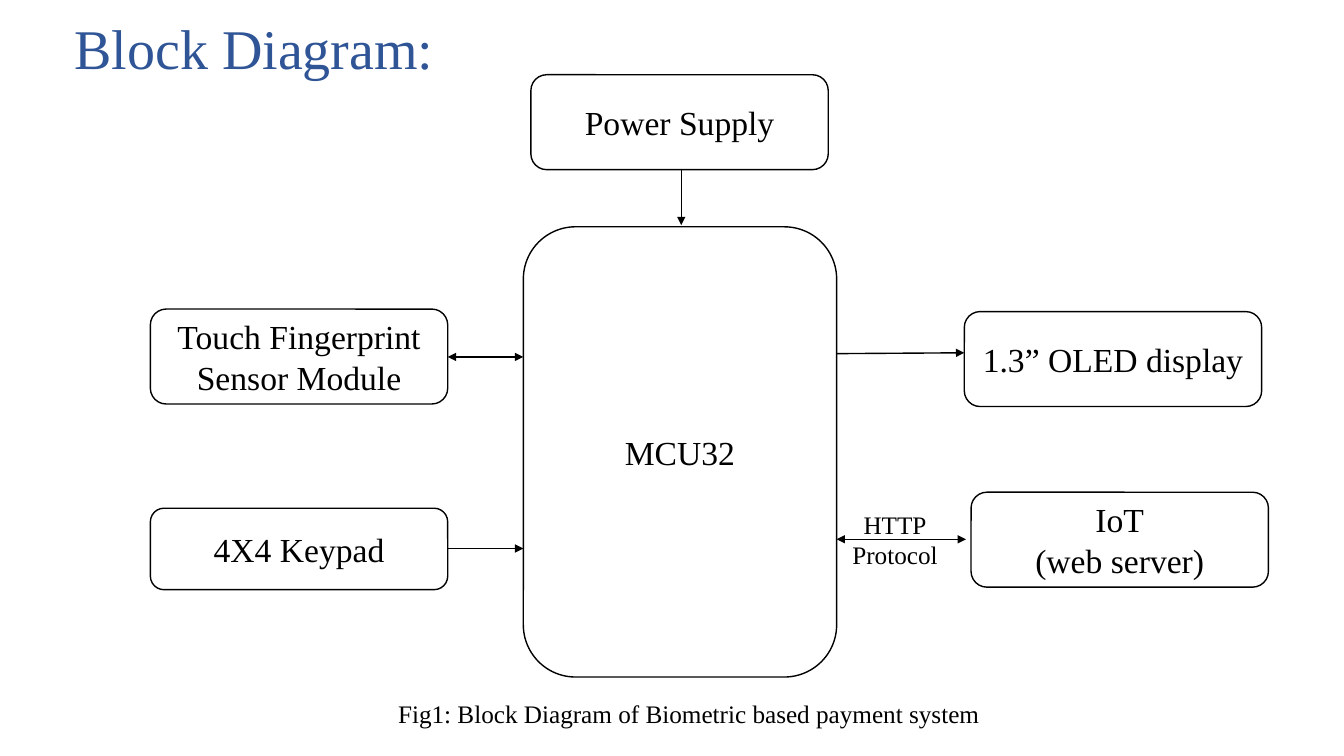
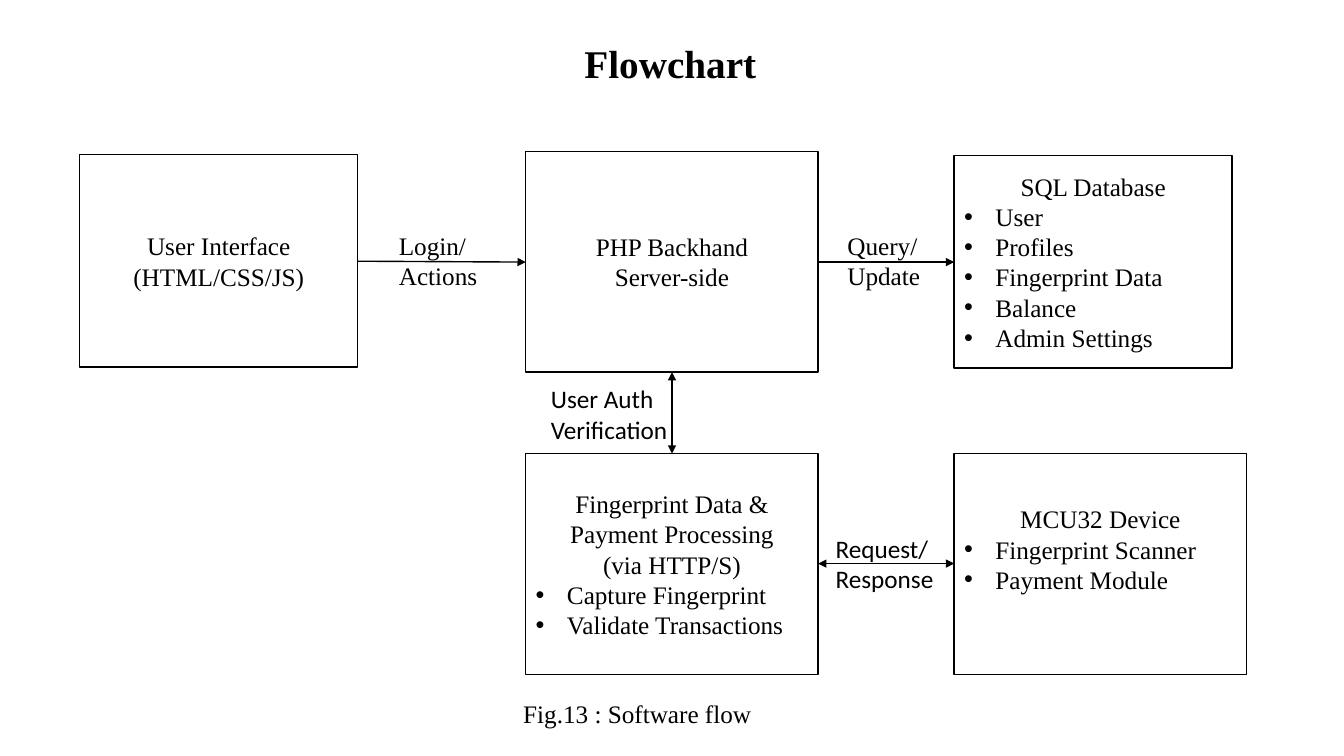
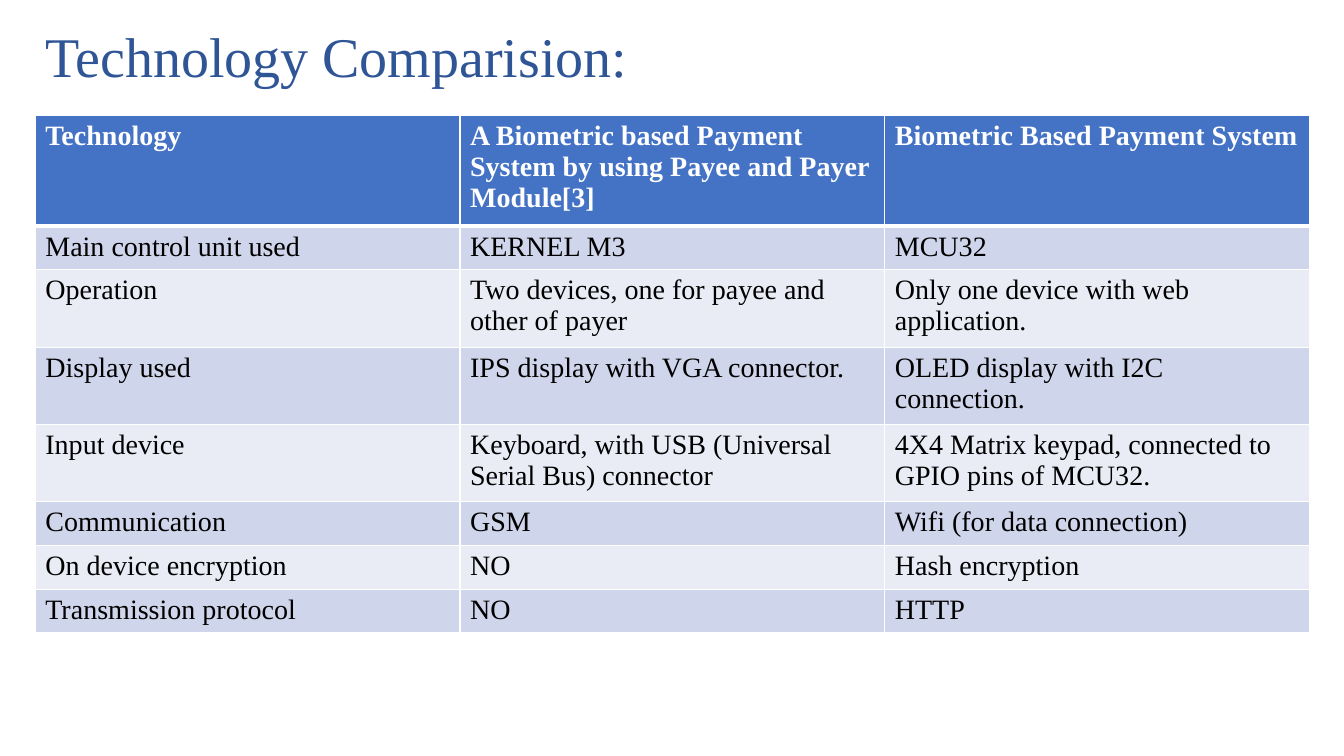
from dataclasses import dataclass
from typing import NamedTuple

from lxml.etree import SubElement
from pptx import Presentation
from pptx.dml.color import RGBColor
from pptx.enum.shapes import MSO_CONNECTOR as Connector, MSO_SHAPE as Preset
from pptx.enum.text import MSO_ANCHOR as Anchor, MSO_AUTO_SIZE as AutoSize, PP_ALIGN as Align
from pptx.oxml.ns import qn
from pptx.util import Inches, Pt

COLUMNS, ROWS = 160, 90
WIDTH, HEIGHT = Inches(13.33), Inches(7.5)
SERIF, SANS = "Times New Roman", "Calibri"
BLACK, WHITE, TITLE_BLUE = "000000", "FFFFFF", "2F5597"
HEADER_BLUE, BANDS = "4472C4", ("CFD5EA", "E9EBF5")
BULLET_INDENT = Inches(0.31)
LINE_GAP = Inches(0.3)


def color(code: str) -> RGBColor:
    return RGBColor.from_string(code)


def across(columns: float) -> int:
    return round(WIDTH * columns / COLUMNS)


def down(rows: float) -> int:
    return round(HEIGHT * rows / ROWS)


class Style(NamedTuple):
    size: float
    font: str = SERIF
    color: str = BLACK
    bold: bool = False


TITLE = Style(40, color=TITLE_BLUE)
HEADING = Style(28, bold=True)
BLOCK = Style(24)
BODY = Style(18)
SANS_BODY = Style(18, SANS)
TABLE_HEAD = Style(20, color=WHITE, bold=True)
TABLE_BODY = Style(20)


@dataclass(frozen=True)
class Area:
    left: float
    top: float
    width: float
    height: float

    @property
    def right(self) -> float:
        return self.left + self.width

    @property
    def bottom(self) -> float:
        return self.top + self.height

    @property
    def center(self) -> float:
        return self.left + self.width / 2

    def place(self) -> tuple[int, int, int, int]:
        return across(self.left), down(self.top), across(self.width), down(self.height)


@dataclass(frozen=True)
class Block:
    area: Area
    lines: tuple[str, ...]
    bullets: tuple[str, ...] = ()
    style: Style = BODY
    preset: Preset = Preset.RECTANGLE
    spare_lines: int = 0


@dataclass(frozen=True)
class Label:
    area: Area
    lines: tuple[str, ...]
    style: Style = BODY
    wrap: bool = False
    align: Align = Align.LEFT


@dataclass(frozen=True)
class Arrow:
    start: tuple[float, float]
    end: tuple[float, float]
    both_ways: bool = False
    weight: float = 1


def write_paragraph(paragraph, text: str, style: Style, align: Align = Align.LEFT) -> None:
    paragraph.alignment = align
    run = paragraph.add_run()
    run.text = text
    run.font.size = Pt(style.size)
    run.font.name = style.font
    run.font.bold = style.bold
    run.font.color.rgb = color(style.color)


def add_bullet(paragraph) -> None:
    properties = paragraph._p.get_or_add_pPr()
    properties.set("marL", str(BULLET_INDENT))
    properties.set("indent", str(-BULLET_INDENT))
    SubElement(properties, qn("a:buFont")).set("typeface", "Arial")
    SubElement(properties, qn("a:buChar")).set("char", "•")


def write_lines(frame, lines, style: Style, align: Align, bullets=()) -> None:
    for index, text in enumerate((*lines, *bullets)):
        paragraph = frame.add_paragraph() if index else frame.paragraphs[0]
        is_bullet = index >= len(lines)
        if is_bullet:
            add_bullet(paragraph)
        write_paragraph(paragraph, text, style, Align.LEFT if is_bullet else align)


def draw_block(slide, block: Block) -> None:
    shape = slide.shapes.add_shape(block.preset, *block.area.place())
    shape.shadow.inherit = False
    shape.fill.solid()
    shape.fill.fore_color.rgb = color(WHITE)
    shape.line.color.rgb = color(BLACK)
    shape.line.width = Pt(1)
    frame = shape.text_frame
    frame.word_wrap = True
    frame.vertical_anchor = Anchor.MIDDLE
    frame.margin_bottom = Inches(0.05) + block.spare_lines * LINE_GAP
    write_lines(frame, block.lines, block.style, Align.CENTER, block.bullets)


def draw_label(slide, label: Label) -> None:
    frame = slide.shapes.add_textbox(*label.area.place()).text_frame
    frame.word_wrap = label.wrap
    frame.auto_size = AutoSize.SHAPE_TO_FIT_TEXT
    write_lines(frame, label.lines, label.style, label.align)


def draw_arrow(slide, arrow: Arrow) -> None:
    (x1, y1), (x2, y2) = arrow.start, arrow.end
    connector = slide.shapes.add_connector(
        Connector.STRAIGHT, across(x1), down(y1), across(x2), down(y2))
    connector.line.color.rgb = color(BLACK)
    connector.line.width = Pt(arrow.weight)
    outline = connector.line._get_or_add_ln()
    for end in ("a:headEnd", "a:tailEnd") if arrow.both_ways else ("a:tailEnd",):
        SubElement(outline, qn(end)).set("type", "triangle")
    SubElement(connector._element.spPr, qn("a:effectLst"))


def add_slide(presentation, items=()):
    slide = presentation.slides.add_slide(presentation.slide_layouts[6])
    painters = {Block: draw_block, Label: draw_label, Arrow: draw_arrow}
    for item in items:
        painters[type(item)](slide, item)
    return slide


def add_block_diagram(presentation) -> None:
    def module(left: float, top: float, height: float = 11.3) -> Area:
        return Area(left, top, 35.4, height)

    controller = Area(62.3, 27, 37.3, 53.6)
    power, sensor, keypad = module(63.2, 8.9), module(17.9, 36.8), module(17.9, 60.5, 9.7)
    display, server = module(114.8, 37.1), module(115.6, 58.6)
    blocks = (
        (controller, "MCU32"),
        (power, "Power Supply"),
        (sensor, "Touch Fingerprint Sensor Module"),
        (display, "1.3” OLED display"),
        (keypad, "4X4 Keypad"),
        (server, "IoT", "(web server)"),
    )
    add_slide(presentation, (
        *(Block(area, tuple(lines), style=BLOCK, preset=Preset.ROUNDED_RECTANGLE)
          for area, *lines in blocks),
        Arrow((81.1, power.bottom), (81.1, 26.8)),
        Arrow((sensor.right, 42.5), (controller.left, 42.5), both_ways=True),
        Arrow((keypad.right, 65.3), (controller.left, 65.3)),
        Arrow((controller.right, 42.1), (display.left, 42)),
        Arrow((controller.right, 64.2), (115, 64.2), both_ways=True),
        Label(Area(7.7, 1, 45.6, 9.2), ("Block Diagram:",), TITLE),
        Label(Area(100.2, 60, 12.7, 8.5), ("HTTP", "Protocol"), align=Align.CENTER),
        Label(Area(46.2, 82.6, 72.4, 4.8),
              ("Fig1: Block Diagram of Biometric based payment system",)),
    ))


def add_flowchart(presentation) -> None:
    def small(left: float, top: float) -> Area:
        return Area(left, top, 33.1, 25.3)

    def large(left: float, top: float) -> Area:
        return Area(left, top, 34.8, 26.3)

    interface, database = small(9.5, 18.4), small(113.6, 18.5)
    backend, processing, device = large(62.6, 18), large(62.6, 54), large(113.6, 54)
    add_slide(presentation, (
        Block(interface, ("User Interface", "(HTML/CSS/JS)")),
        Block(backend, ("PHP Backhand", "Server-side")),
        Block(database, ("SQL Database",),
              ("User", "Profiles", "Fingerprint Data", "Balance", "Admin Settings")),
        Block(processing, ("Fingerprint Data &", "Payment Processing", "(via HTTP/S)"),
              ("Capture Fingerprint", "Validate Transactions")),
        Block(device, ("MCU32 Device",), ("Fingerprint Scanner", "Payment Module"),
              spare_lines=1),
        Arrow((interface.right, 31.1), (backend.left, 31.2)),
        Arrow((backend.right, 31.2), (database.left, 31.2)),
        Arrow((processing.center, processing.top), (backend.center, backend.bottom),
              both_ways=True),
        Arrow((processing.right, 67.1), (device.left, 67.1), both_ways=True, weight=0.5),
        Label(Area(46.3, 26.8, 16.3, 8.5), ("Login/", "Actions"), wrap=True),
        Label(Area(99.7, 26.8, 11.7, 8.5), ("Query/", "Update"), wrap=True),
        Label(Area(98.3, 62.9, 14.5, 8.5), ("Request/", "Response"), SANS_BODY, True),
        Label(Area(64.4, 45.1, 23.2, 8.5), ("User Auth", "Verification"), SANS_BODY, True),
        Label(Area(68.4, 4.1, 23.2, 6.8), ("Flowchart",), HEADING),
        Label(Area(61.1, 82.6, 29.9, 4.8), ("Fig.13 : Software flow",)),
    ))


class Comparison(NamedTuple):
    technology: str
    earlier: str
    proposed: str
    height: float = 5.2


COMPARISONS = (
    Comparison("Technology",
               "A Biometric based Payment System by using Payee and Payer Module[3]",
               "Biometric Based Payment System", 13.1),
    Comparison("Main control unit used", "KERNEL M3", "MCU32"),
    Comparison("Operation", "Two devices, one for payee and other of payer",
               "Only one device with web application.", 9.2),
    Comparison("Display used", "IPS display with VGA connector.",
               "OLED display with I2C connection.", 9.2),
    Comparison("Input device", "Keyboard, with USB (Universal Serial Bus) connector",
               "4X4 Matrix keypad, connected to GPIO pins of MCU32.", 9.2),
    Comparison("Communication", "GSM", "Wifi (for data connection)"),
    Comparison("On device encryption", "NO", "Hash encryption"),
    Comparison("Transmission protocol", "NO", "HTTP"),
)


def add_borders(cell, is_header: bool) -> None:
    properties = cell._tc.get_or_add_tcPr()
    weights = {"L": 1, "R": 1, "T": 1, "B": 3 if is_header else 1}
    if not is_header:
        del weights["T"]
    for side, weight in weights.items():
        border = SubElement(properties, qn(f"a:ln{side}"))
        border.set("w", str(Pt(weight)))
        fill = SubElement(border, qn("a:solidFill"))
        SubElement(fill, qn("a:srgbClr")).set("val", WHITE)


def add_comparison(presentation) -> None:
    title = Label(Area(4.2, 2, 80, 9.2), ("Technology Comparision:",), TITLE, wrap=True)
    slide = add_slide(presentation, (title,))
    area = Area(4.2, 13.7, 151.7, sum(row.height for row in COMPARISONS))
    table = slide.shapes.add_table(len(COMPARISONS), 3, *area.place()).table
    table.horz_banding = False
    for row_index, comparison in enumerate(COMPARISONS):
        is_header = row_index == 0
        table.rows[row_index].height = down(comparison.height)
        for column_index, text in enumerate(comparison[:3]):
            cell = table.cell(row_index, column_index)
            add_borders(cell, is_header)
            cell.fill.solid()
            cell.fill.fore_color.rgb = color(
                HEADER_BLUE if is_header else BANDS[(row_index - 1) % 2])
            write_paragraph(cell.text_frame.paragraphs[0], text,
                            TABLE_HEAD if is_header else TABLE_BODY)


def main() -> None:
    presentation = Presentation()
    presentation.slide_width, presentation.slide_height = WIDTH, HEIGHT
    add_block_diagram(presentation)
    add_flowchart(presentation)
    add_comparison(presentation)
    presentation.save("out.pptx")


if __name__ == "__main__":
    main()
